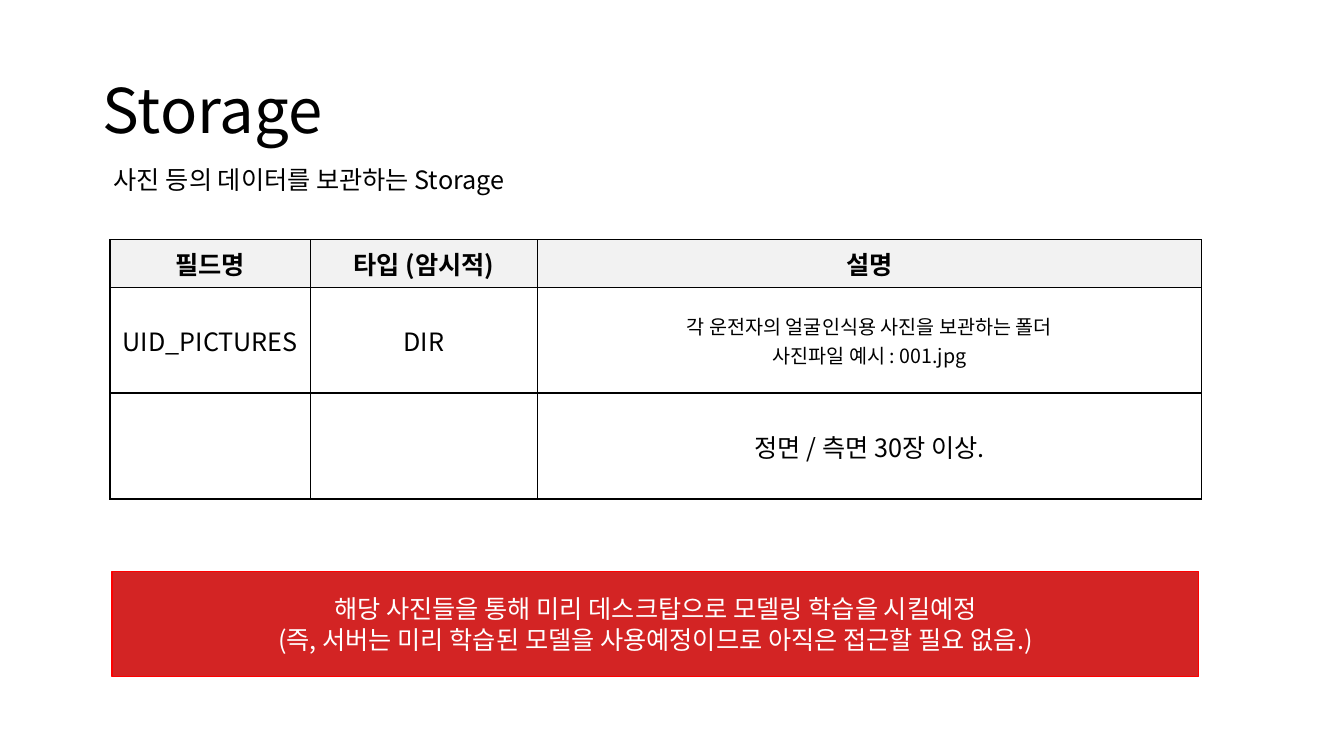
"""Build the Storage slide: a heading, a field table and a notice."""
from dataclasses import dataclass

from lxml.etree import SubElement
from pptx import Presentation
from pptx.dml.color import RGBColor
from pptx.enum.shapes import MSO_SHAPE as Preset
from pptx.enum.text import MSO_ANCHOR as Anchor, PP_ALIGN as Align
from pptx.oxml.ns import qn
from pptx.util import Inches, Pt

WIDTH, HEIGHT = 13.33, 7.5
COLUMNS = (1.99, 2.25, 6.59)
ROWS = (0.47, 1.05, 1.05)
FIELDS = (
    ("필드명", "타입 (암시적)", "설명"),
    ("UID_PICTURES", "DIR", "각 운전자의 얼굴인식용 사진을 보관하는 폴더\n사진파일 예시 : 001.jpg"),
    ("", "", "정면 / 측면 30장 이상."),
)
NOTICE = (
    "해당 사진들을 통해 미리 데스크탑으로 모델링 학습을 시킬예정\n"
    "(즉, 서버는 미리 학습된 모델을 사용예정이므로 아직은 접근할 필요 없음.)"
)


@dataclass(frozen=True)
class Theme:
    """Fonts, sizes and colours of the slide."""
    font: str = "Noto Sans CJK KR"
    title: int = 44
    body: int = 18
    small: int = 14
    ink: str = "000000"
    paper: str = "FFFFFF"
    header: str = "F2F2F2"
    alert: str = "CC0000"
    alert_line: str = "FF0000"
    alert_opacity: int = 86
    line: int = 1


THEME = Theme()


def place(left, top, width, height):
    """Turn shares of the slide's size into lengths."""
    return (Inches(WIDTH * left), Inches(HEIGHT * top),
            Inches(WIDTH * width), Inches(HEIGHT * height))


def paint(fill, color):
    """Give a fill one solid colour."""
    fill.solid()
    fill.fore_color.rgb = RGBColor.from_string(color)


def write(frame, text, size=THEME.body, color=THEME.ink, bold=False,
          align=Align.LEFT, spacing=None):
    """Write one paragraph per line of text."""
    for index, line in enumerate(text.split("\n")):
        paragraph = frame.add_paragraph() if index else frame.paragraphs[0]
        paragraph.alignment = align
        paragraph.line_spacing = spacing
        run = paragraph.add_run()
        run.text = line
        run.font.name = THEME.font
        run.font.size = Pt(size)
        run.font.bold = bold
        run.font.color.rgb = RGBColor.from_string(color)
        SubElement(run.font._element, qn("a:ea"), typeface=THEME.font)


def add_text(slide, box, text, anchor=Anchor.TOP, wrap=True, **style):
    """Add a text box."""
    frame = slide.shapes.add_textbox(*place(*box)).text_frame
    frame.word_wrap = wrap
    frame.vertical_anchor = anchor
    write(frame, text, **style)


def add_borders(cell):
    """Draw a thin line on all four sides of a cell."""
    properties = cell._tc.get_or_add_tcPr()
    for position, side in enumerate(("lnL", "lnR", "lnT", "lnB")):
        line = SubElement(properties, qn(f"a:{side}"), w=str(Pt(THEME.line)))
        fill = SubElement(line, qn("a:solidFill"))
        SubElement(fill, qn("a:srgbClr"), val=THEME.ink)
        properties.insert(position, line)


def add_fields(slide, left, top):
    """Add the table of storage fields."""
    box = place(left, top, sum(COLUMNS) / WIDTH, sum(ROWS) / HEIGHT)
    table = slide.shapes.add_table(len(ROWS), len(COLUMNS), *box).table
    table.horz_banding = False
    for column, width in zip(table.columns, COLUMNS):
        column.width = Inches(width)
    for index, (row, height, texts) in enumerate(zip(table.rows, ROWS, FIELDS)):
        row.height = Inches(height)
        header = index == 0
        for cell, text in zip(row.cells, texts):
            cell.vertical_anchor = Anchor.MIDDLE
            paint(cell.fill, THEME.header if header else THEME.paper)
            add_borders(cell)
            if text:
                size = THEME.small if "\n" in text else THEME.body
                write(cell.text_frame, text, size=size, bold=header,
                      align=Align.CENTER)


def add_notice(slide, box, text):
    """Add the translucent notice bar."""
    shape = slide.shapes.add_shape(Preset.RECTANGLE, *place(*box))
    shape.shadow.inherit = False
    paint(shape.fill, THEME.alert)
    color = shape._element.spPr.find(qn("a:solidFill"))[0]
    SubElement(color, qn("a:alpha"), val=str(THEME.alert_opacity * 1000))
    paint(shape.line.fill, THEME.alert_line)
    shape.line.width = Pt(THEME.line)
    shape.text_frame.word_wrap = True
    shape.text_frame.vertical_anchor = Anchor.MIDDLE
    write(shape.text_frame, text, color=THEME.paper, align=Align.CENTER)


def main():
    """Build and save the slide."""
    presentation = Presentation()
    presentation.slide_width = Inches(WIDTH)
    presentation.slide_height = Inches(HEIGHT)
    slide = presentation.slides.add_slide(presentation.slide_layouts[6])
    add_text(slide, (0.069, 0.053, 0.863, 0.193), "Storage",
             anchor=Anchor.MIDDLE, size=THEME.title, spacing=0.9)
    add_fields(slide, 0.0818, 0.3173)
    add_text(slide, (0.0773, 0.2107, 0.3346, 0.0533),
             "사진 등의 데이터를 보관하는 Storage", wrap=False)
    add_notice(slide, (0.0833, 0.756, 0.8087, 0.1387), NOTICE)
    presentation.save("out.pptx")


main()
